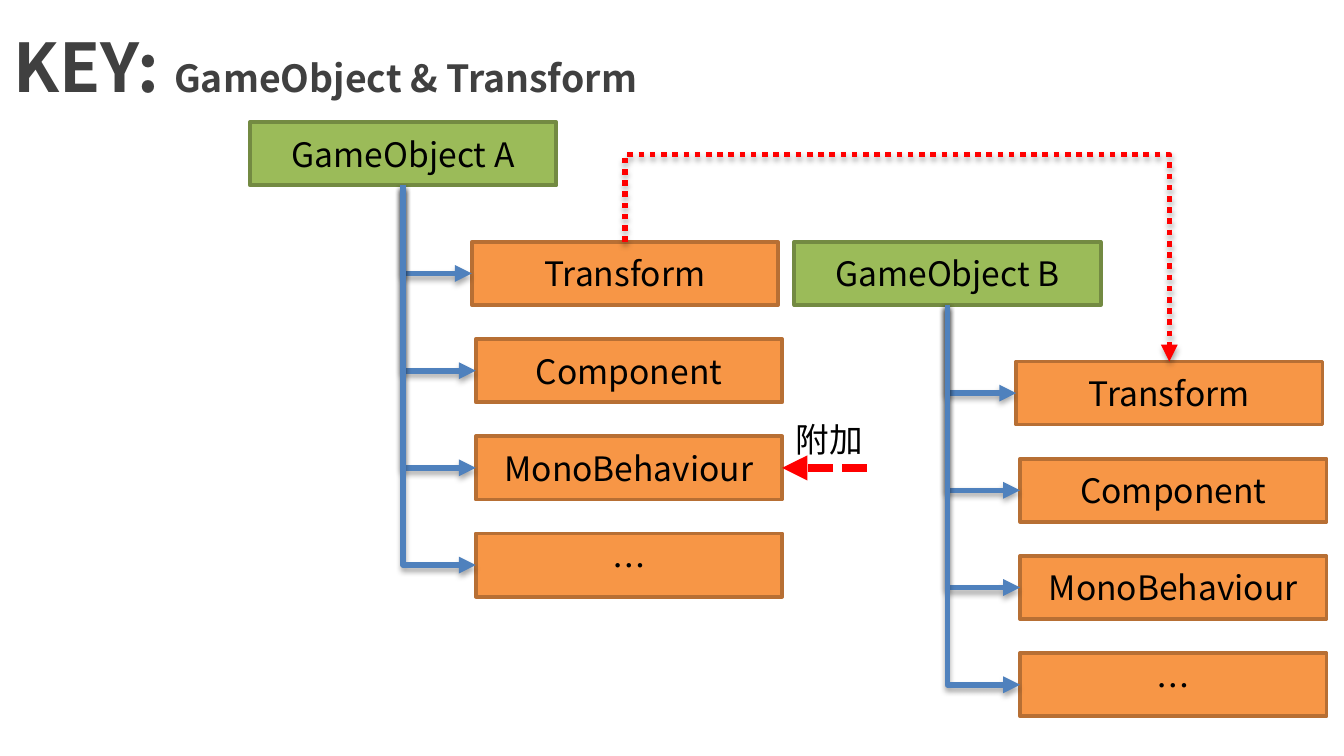
from dataclasses import dataclass

from lxml import etree
from pptx import Presentation
from pptx.dml.color import RGBColor
from pptx.enum.dml import MSO_LINE
from pptx.enum.shapes import MSO_CONNECTOR, MSO_SHAPE
from pptx.enum.text import MSO_ANCHOR, MSO_AUTO_SIZE, PP_ALIGN
from pptx.oxml.ns import qn
from pptx.shapes.autoshape import Shape
from pptx.shapes.connector import Connector
from pptx.util import Inches, Pt

RECTANGLE = MSO_SHAPE.RECTANGLE
STRAIGHT, ELBOW = MSO_CONNECTOR.STRAIGHT, MSO_CONNECTOR.ELBOW
DOTTED, DASHED = MSO_LINE.ROUND_DOT, MSO_LINE.SQUARE_DOT
MIDDLE, CENTER = MSO_ANCHOR.MIDDLE, PP_ALIGN.CENTER
TOP, LEFT, BOTTOM, RIGHT = range(4)

COLORS = {
    "title": "404040",
    "text": "000000",
    "object": "9BBB59",
    "object_edge": "738A42",
    "component": "F79646",
    "component_edge": "B76F34",
    "tree": "4F81BD",
    "reference": "FF0000",
}
TITLE_FONT, BOX_FONT = "Noto Sans CJK SC", "Noto Sans CJK KR"
SLIDE_WIDTH = 10
SLIDE_HEIGHT = SLIDE_WIDTH * 9 / 16
BOX_WIDTH, BOX_HEIGHT = 2.28, 0.47
TRANSFORM_INDENT, COMPONENT_INDENT = 1.65, 1.68
COMPONENTS = ("Transform", "Component", "MonoBehaviour", "…")
FIRST_DROP, LAST_DROP = 0.89, 3.06
ROW_PITCH = (LAST_DROP - FIRST_DROP) / (len(COMPONENTS) - 1)


@dataclass(frozen=True)
class GameObject:
    label: str
    left: float
    top: float


GAME_OBJECTS = (GameObject("GameObject A", 1.86, 0.91),
                GameObject("GameObject B", 5.91, 1.8))


def color(key: str) -> RGBColor:
    return RGBColor.from_string(COLORS[key])


def add_run(paragraph, text: str, size: float, font: str, ink: str = "text",
            bold: bool = False) -> None:
    run = paragraph.add_run()
    run.text = text
    run.font.size = Pt(size)
    run.font.bold = bold
    run.font.color.rgb = color(ink)
    run.font.name = font
    etree.SubElement(run.font._element, qn("a:ea"), typeface=font)


def add_box(shapes, label: str, left: float, top: float, kind: str) -> Shape:
    box = shapes.add_shape(RECTANGLE, Inches(left), Inches(top),
                           Inches(BOX_WIDTH), Inches(BOX_HEIGHT))
    box.shadow.inherit = False
    box.fill.solid()
    box.fill.fore_color.rgb = color(kind)
    box.line.color.rgb = color(f"{kind}_edge")
    box.line.width = Pt(2)
    box.text_frame.vertical_anchor = MIDDLE
    paragraph = box.text_frame.paragraphs[0]
    paragraph.alignment = CENTER
    add_run(paragraph, label, 18, BOX_FONT)
    return box


def style_arrow(arrow: Connector, ink: str, width: float, dash=None,
                shadow: bool = True) -> None:
    arrow.line.color.rgb = color(ink)
    arrow.line.width = Pt(width)
    if dash is not None:
        arrow.line.dash_style = dash
    properties = arrow._element.spPr
    etree.SubElement(properties.find(qn("a:ln")), qn("a:tailEnd"), type="triangle")
    effects = etree.SubElement(properties, qn("a:effectLst"))
    if shadow:
        outer = etree.SubElement(effects, qn("a:outerShdw"), blurRad="40000",
                                 dist="23000", dir="5400000", rotWithShape="0")
        black = etree.SubElement(outer, qn("a:srgbClr"), val="000000")
        etree.SubElement(black, qn("a:alpha"), val="35000")


def add_bent_arrow(shapes, source: Shape, source_side: int, target: Shape,
                   target_side: int) -> Connector:
    """Join two boxes with an elbow whose first leg runs vertically."""
    arrow = shapes.add_connector(ELBOW, 0, 0, 0, 0)
    arrow.begin_connect(source, source_side)
    arrow.end_connect(target, target_side)
    across, down = arrow.width, arrow.height
    # A quarter turn about the centre swaps the frame's width and height.
    arrow.left += (across - down) // 2
    arrow.top += (down - across) // 2
    arrow.width, arrow.height = down, across
    frame = arrow._element.spPr.find(qn("a:xfrm"))
    frame.set("rot", "16200000")
    frame.set("flipH", "1")
    return arrow


def add_tree(shapes, game_object: GameObject) -> list[Shape]:
    """Draw a game object with its components and return the component boxes."""
    root = add_box(shapes, game_object.label, game_object.left, game_object.top, "object")
    components = []
    for row, label in enumerate(COMPONENTS):
        indent = COMPONENT_INDENT if row else TRANSFORM_INDENT
        top = game_object.top + FIRST_DROP + row * ROW_PITCH
        components.append(add_box(shapes, label, game_object.left + indent, top, "component"))
    for component in components:
        branch = add_bent_arrow(shapes, root, BOTTOM, component, LEFT)
        branch._element.spPr.find(qn("a:prstGeom")).set("prst", "bentConnector2")
        style_arrow(branch, "tree", 3)
    return components


def add_title(shapes) -> None:
    title = shapes.add_textbox(0, 0, Inches(SLIDE_WIDTH), Inches(0.97)).text_frame
    title.word_wrap = True
    title.vertical_anchor = MIDDLE
    paragraph = title.paragraphs[0]
    add_run(paragraph, "KEY: ", 36, TITLE_FONT, "title", True)
    add_run(paragraph, "GameObject & Transform", 20, TITLE_FONT, "title", True)


def add_parent_link(shapes, parent: Shape, child: Shape) -> None:
    link = add_bent_arrow(shapes, parent, TOP, child, TOP)
    geometry = link._element.spPr.find(qn("a:prstGeom"))
    guides = geometry.get_or_add_avLst()
    etree.SubElement(guides, qn("a:gd"), name="adj1", fmla="val -73000")
    style_arrow(link, "reference", 3, DOTTED)


def add_attachment(shapes, script: Shape) -> None:
    note = shapes.add_textbox(Inches(5.82), Inches(3.07), Inches(0.71), Inches(0.4)).text_frame
    note.word_wrap = False
    note.auto_size = MSO_AUTO_SIZE.SHAPE_TO_FIT_TEXT
    add_run(note.paragraphs[0], "附加", 18, TITLE_FONT)
    middle = script.top + script.height // 2
    arrow = shapes.add_connector(STRAIGHT, Inches(6.45), middle, Inches(5.82), middle)
    arrow.end_connect(script, RIGHT)
    style_arrow(arrow, "reference", 4.5, DASHED, shadow=False)


def main() -> None:
    presentation = Presentation()
    presentation.slide_width = Inches(SLIDE_WIDTH)
    presentation.slide_height = Inches(SLIDE_HEIGHT)
    shapes = presentation.slides.add_slide(presentation.slide_layouts[6]).shapes
    add_title(shapes)
    components_a, components_b = [add_tree(shapes, item) for item in GAME_OBJECTS]
    add_parent_link(shapes, components_a[0], components_b[0])
    add_attachment(shapes, components_a[2])
    presentation.save("out.pptx")


if __name__ == "__main__":
    main()
